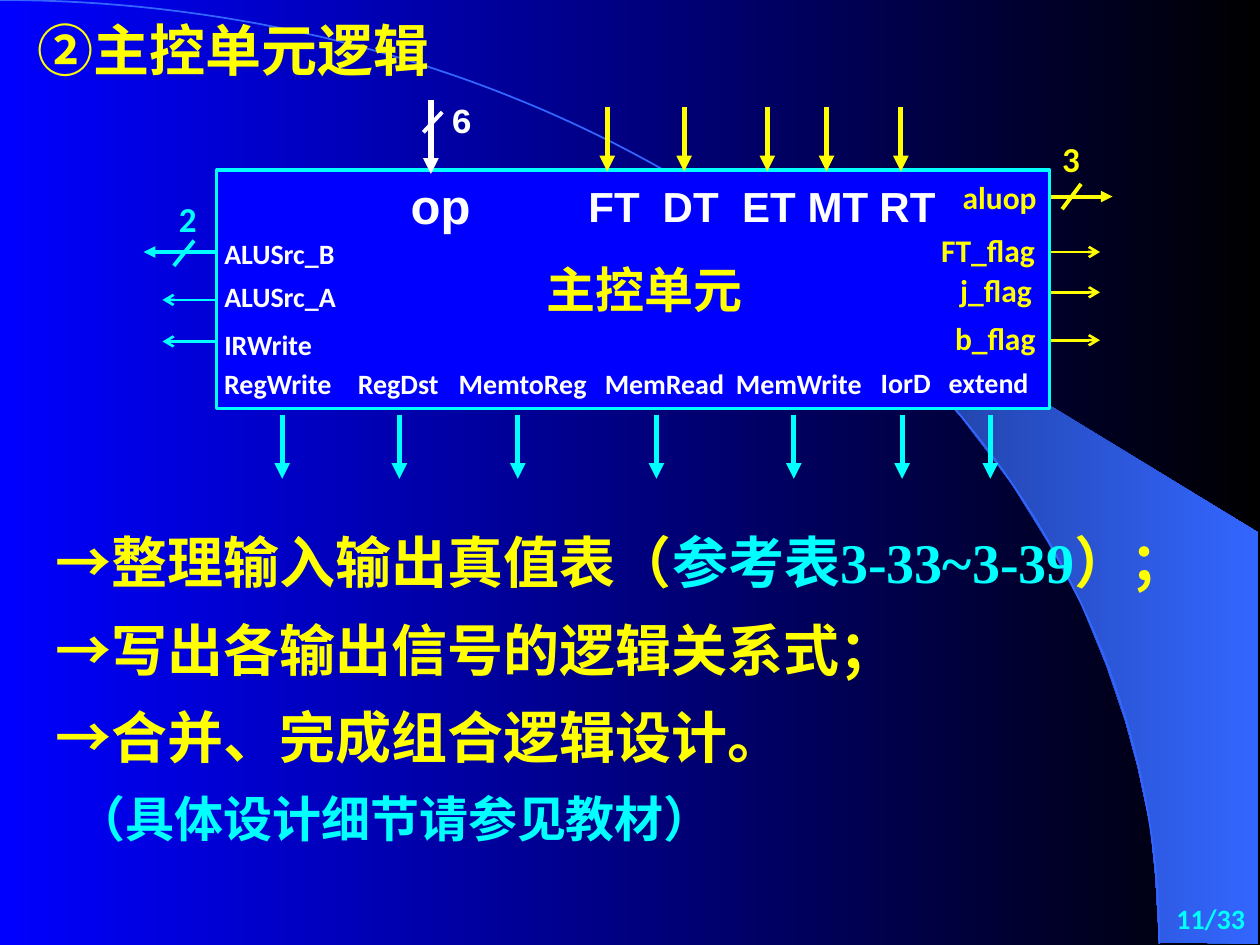
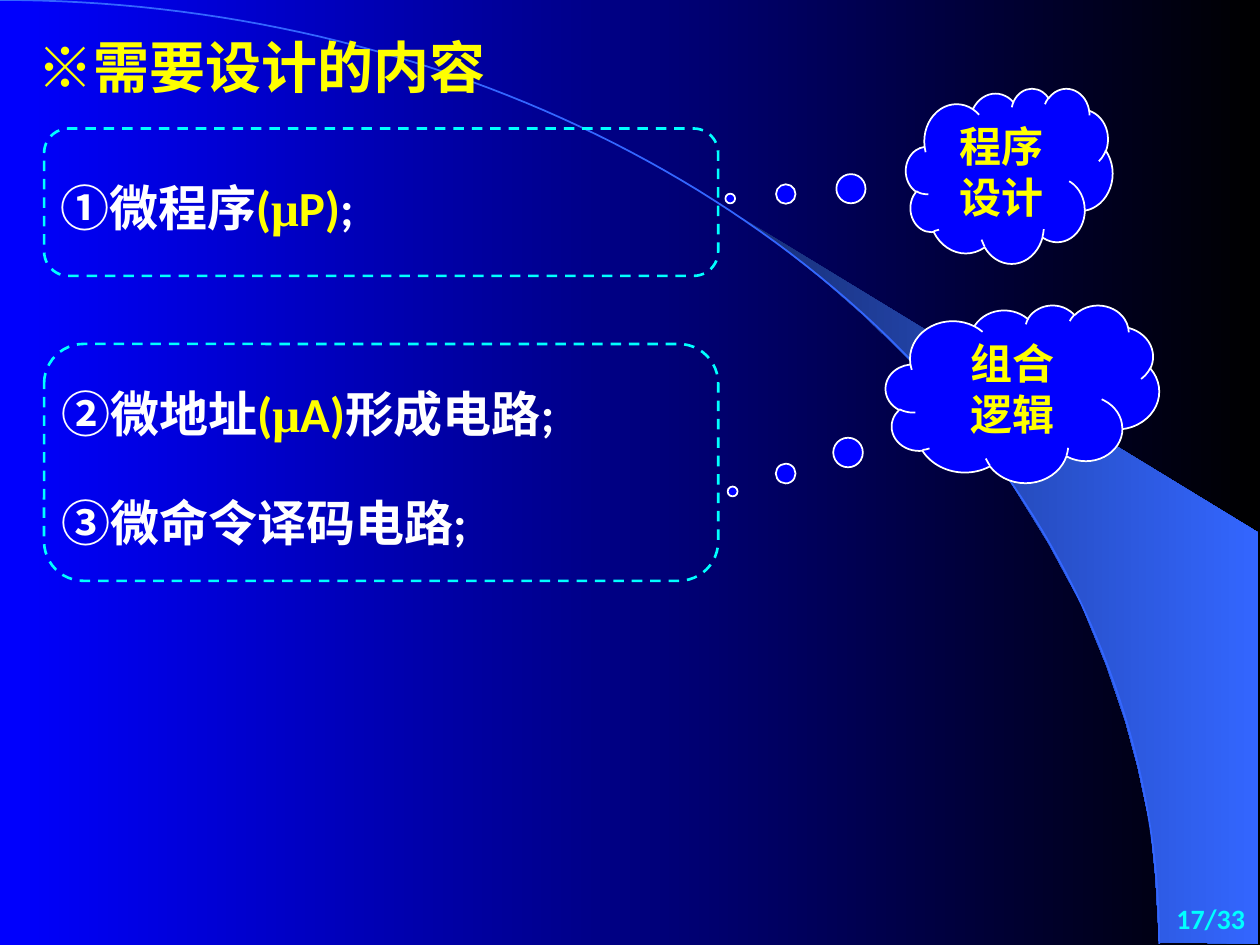
from dataclasses import dataclass
from math import cos, pi, sin

from lxml.etree import SubElement
from pptx import Presentation
from pptx.dml.color import RGBColor
from pptx.enum.dml import MSO_LINE
from pptx.enum.shapes import MSO_CONNECTOR, MSO_SHAPE
from pptx.enum.text import MSO_ANCHOR, MSO_AUTO_SIZE, PP_ALIGN
from pptx.oxml.ns import qn
from pptx.util import Inches, Pt


@dataclass(frozen=True)
class Theme:
    blue: str = "0000FF"
    black: str = "000000"
    navy: str = "182F76"
    sky: str = "3366FF"
    cyan: str = "00FFFF"
    yellow: str = "FFFF00"
    white: str = "FFFFFF"
    latin: str = "Calibri"
    chinese: str = "Noto Sans CJK SC"
    serif: str = "Times New Roman"
    sans: str = "Arial"
    mono: str = "Courier New"
    title: int = 32
    body: int = 28
    cloud: int = 24
    bus: int = 20
    flag: int = 18
    small: int = 16


THEME = Theme()
PAGE_COUNT = 33


def rgb(color):
    return RGBColor.from_string(color)


def inches(*lengths):
    return [Inches(length) for length in lengths]


def set_gradient(fill, first, last):
    fill.gradient()
    fill.gradient_angle = 0
    for stop, color, position in zip(fill.gradient_stops, (first, last), (0, 1)):
        stop.color.rgb = rgb(color)
        stop.position = position


def write(frame, lines, size, inset=(0, 0), wrap=False, align=PP_ALIGN.LEFT,
          anchor=MSO_ANCHOR.TOP, spacing=None):
    """Fill a frame with lines, each a list of (text, font, color) spans."""
    frame.auto_size = MSO_AUTO_SIZE.NONE
    frame.word_wrap = wrap
    frame.vertical_anchor = anchor
    frame.margin_left = frame.margin_right = Inches(inset[0])
    frame.margin_top = frame.margin_bottom = Inches(inset[1])
    for index, line in enumerate(lines):
        para = frame.add_paragraph() if index else frame.paragraphs[0]
        para.alignment = align
        para.line_spacing = spacing
        for text, font, color in line:
            span = para.add_run()
            span.text = text
            span.font.size = Pt(size)
            span.font.bold = True
            span.font.color.rgb = rgb(color)
            span.font.name = font
            SubElement(span.font._element, qn("a:ea"), typeface=THEME.chinese)


def add_text(slide, box, lines, size, **layout):
    write(slide.shapes.add_textbox(*inches(*box)).text_frame, lines, size, **layout)


def add_label(slide, box, text, size, color, font=THEME.latin):
    add_text(slide, box, [[(text, font, color)]], size)


def add_line(slide, start, end, color, width, arrow=None):
    line = slide.shapes.add_connector(MSO_CONNECTOR.STRAIGHT, *inches(*start, *end))
    line.line.color.rgb = rgb(color)
    line.line.width = Pt(width)
    properties = line.element.spPr
    if arrow:
        SubElement(properties.find(qn("a:ln")), qn("a:tailEnd"), type=arrow)
    SubElement(properties, qn("a:effectLst"))


def add_outlined(slide, kind, box, line_color, width, fill=None):
    shape = slide.shapes.add_shape(kind, *inches(*box))
    shape.shadow.inherit = False
    shape.line.color.rgb = rgb(line_color)
    shape.line.width = Pt(width)
    if fill:
        shape.fill.solid()
        shape.fill.fore_color.rgb = rgb(fill)
    else:
        shape.fill.background()
    return shape


def add_freeform(slide, points, close):
    points = [inches(*point) for point in points]
    builder = slide.shapes.build_freeform(*points[0])
    builder.add_line_segments(points[1:], close=close)
    shape = builder.convert_to_shape()
    shape.shadow.inherit = False
    return shape


def add_backdrop(slide):
    """Draw the light beam and the large quarter-ellipse edge."""
    beam = add_freeform(slide, [
        (9.2, 7.48), (9.99, 7.49), (9.99, 4.23), (5.89, 1.73), (6.24, 1.99),
        (6.53, 2.22), (6.85, 2.5), (7.16, 2.8), (7.62, 3.3), (8.03, 3.84),
        (8.32, 4.31), (8.58, 4.79), (8.78, 5.28), (8.93, 5.72), (9.03, 6.09),
        (9.13, 6.56), (9.17, 6.96)], close=True)
    set_gradient(beam.fill, THEME.navy, THEME.sky)
    beam.line.fill.background()
    width, height, steps = 9.2, 7.49, 90
    angles = [step * pi / 2 / steps for step in range(steps + 1)]
    edge = add_freeform(slide, [(width * sin(angle), height * (1 - cos(angle)))
                                for angle in angles], close=False)
    edge.fill.background()
    edge.line.color.rgb = rgb(THEME.sky)
    edge.line.width = Pt(1)


def add_page(deck, title_box, title_spans, number):
    slide = deck.slides.add_slide(deck.slide_layouts[5])
    add_backdrop(slide)
    title = slide.shapes.title
    title.left, title.top, title.width, title.height = inches(*title_box)
    write(title.text_frame, [[(text, font, THEME.yellow) for text, font in title_spans]],
          THEME.title, inset=(0.1, 0.05), wrap=True)
    title.element.getparent().append(title.element)  # in front of the backdrop
    add_text(slide, (7.9, 7.09, 2.08, 0.39),
             [[(f"{number}/{PAGE_COUNT}", THEME.latin, THEME.cyan)]], THEME.small,
             inset=(0.1, 0.05), wrap=True, align=PP_ALIGN.RIGHT, anchor=MSO_ANCHOR.MIDDLE)
    return slide


def add_control_unit(slide, box):
    left, top, width, height = box
    add_outlined(slide, MSO_SHAPE.RECTANGLE, box, THEME.cyan, 1.87, THEME.blue)
    add_label(slide, (left + 2.62, top + 0.71, 1.55, 0.47), "主控单元",
              THEME.body, THEME.yellow, THEME.chinese)
    add_inputs(slide, left, top)
    add_left_outputs(slide, left, top)
    add_right_outputs(slide, left + width, top)
    add_bottom_outputs(slide, left, top + height)


def add_inputs(slide, left, top):
    add_label(slide, (left + 1.54, top + 0.04, 0.48, 0.47), "op",
              THEME.body, THEME.white, THEME.sans)
    add_label(slide, (left + 1.86, top - 0.57, 0.17, 0.33), "6",
              THEME.bus, THEME.white, THEME.mono)
    add_line(slide, (left + 1.7, top - 0.56), (left + 1.7, top + 0.03),
             THEME.white, 3, "triangle")
    add_line(slide, (left + 1.79, top - 0.46), (left + 1.64, top - 0.3),
             THEME.white, 2.25)
    for name, label_x, label_width, arrow_x in (
            ("FT", 2.95, 0.4, 3.1), ("DT", 3.54, 0.44, 3.71), ("ET", 4.17, 0.43, 4.37),
            ("MT", 4.69, 0.48, 4.84), ("RT", 5.26, 0.44, 5.43)):
        add_label(slide, (left + label_x, top + 0.08, label_width, 0.4), name,
                  THEME.cloud, THEME.white, THEME.sans)
        add_line(slide, (left + arrow_x, top - 0.5), (left + arrow_x, top + 0.01),
                 THEME.yellow, 3, "triangle")


def add_left_outputs(slide, left, top):
    for name, label_y, label_width, arrow_y, length, weight, arrow in (
            ("ALUSrc_B", 0.53, 0.88, 0.65, 0.58, 2.25, "triangle"),
            ("ALUSrc_A", 0.87, 0.89, 1.03, 0.43, 1.5, "arrow"),
            ("IRWrite", 1.25, 0.71, 1.36, 0.43, 1.5, "arrow")):
        add_label(slide, (left + 0.06, top + label_y, label_width, 0.27), name,
                  THEME.small, THEME.white)
        add_line(slide, (left, top + arrow_y), (left - length, top + arrow_y),
                 THEME.cyan, weight, arrow)
    add_label(slide, (left - 0.3, top + 0.22, 0.14, 0.33), "2", THEME.bus, THEME.cyan)
    add_line(slide, (left - 0.18, top + 0.56), (left - 0.34, top + 0.76),
             THEME.cyan, 2.25)


def add_right_outputs(slide, right, top):
    for name, label_x, label_y, label_width, arrow_y, length, weight, arrow in (
            ("aluop", 0.69, 0.06, 0.59, 0.21, 0.5, 2.25, "triangle"),
            ("FT_flag", 0.86, 0.48, 0.74, 0.65, 0.4, 1.5, "arrow"),
            ("j_flag", 0.71, 0.8, 0.57, 0.97, 0.4, 1.5, "arrow"),
            ("b_flag", 0.75, 1.18, 0.64, 1.35, 0.4, 1.5, "arrow")):
        add_label(slide, (right - label_x, top + label_y, label_width, 0.3), name,
                  THEME.flag, THEME.yellow)
        add_line(slide, (right + 0.01, top + arrow_y), (right + length, top + arrow_y),
                 THEME.yellow, weight, arrow)
    add_label(slide, (right + 0.1, top - 0.26, 0.14, 0.33), "3", THEME.bus, THEME.yellow)
    add_line(slide, (right + 0.25, top + 0.11), (right + 0.1, top + 0.31),
             THEME.yellow, 2.25)


def add_bottom_outputs(slide, left, bottom):
    for name, label_x, label_width, rise, arrow_x in (
            ("RegWrite", 0.06, 0.86, 0.33, 0.52), ("RegDst", 1.12, 0.65, 0.33, 1.45),
            ("MemtoReg", 1.92, 1.02, 0.33, 2.39), ("MemRead", 3.08, 0.95, 0.33, 3.49),
            ("MemWrite", 4.12, 1.01, 0.33, 4.58), ("IorD", 5.27, 0.4, 0.34, 5.44),
            ("extend", 5.81, 0.64, 0.34, 6.14)):
        add_label(slide, (left + label_x, bottom - rise, label_width, 0.27), name,
                  THEME.small, THEME.white)
        add_line(slide, (left + arrow_x, bottom + 0.05), (left + arrow_x, bottom + 0.56),
                 THEME.cyan, 3, "triangle")


def add_design_steps(slide, box):
    left, top, width, height = box
    main = (THEME.chinese, THEME.yellow)
    add_text(slide, box, [
        [("→整理输入输出真值表（", *main),
         ("参考表3-33~3-39", THEME.serif, THEME.cyan), ("）；", *main)],
        [("→写出各输出信号的逻辑关系式；", *main)],
        [("→合并、完成组合逻辑设计。", *main)],
    ], THEME.title, inset=(0.1, 0.05), spacing=1.3)
    add_text(slide, (left + 0.17, top + height + 0.05, 5.25, 0.57),
             [[("（具体设计细节请参见教材）", THEME.chinese, THEME.cyan)]],
             THEME.body, inset=(0.1, 0.05))


def add_topic_group(slide, box, items):
    """Draw a dashed frame with items of (x, y, width, spans) inside it."""
    left, top = box[:2]
    frame = add_outlined(slide, MSO_SHAPE.ROUNDED_RECTANGLE, box, THEME.cyan, 1.5)
    frame.line.dash_style = MSO_LINE.DASH
    for x, y, width, spans in items:
        add_text(slide, (left + x, top + y, width, 0.6), [spans], THEME.body,
                 inset=(0.1, 0.05), wrap=True, spacing=Pt(36))


def add_cloud(slide, box, tail, lines):
    cloud = add_outlined(slide, MSO_SHAPE.CLOUD_CALLOUT, box, THEME.white, 1, THEME.blue)
    cloud.adjustments[0], cloud.adjustments[1] = tail
    write(cloud.text_frame, [[(line, THEME.chinese, THEME.yellow)] for line in lines],
          THEME.cloud, inset=(0.1, 0.05), align=PP_ALIGN.CENTER)


def symbol(letter):
    """Spans of a bracketed short form such as (μP)."""
    return [("(", THEME.latin, THEME.yellow), ("μ", THEME.serif, THEME.yellow),
            (f"{letter})", THEME.latin, THEME.yellow)]


def build_control_slide(deck):
    slide = add_page(deck, (0.2, 0.07, 5.51, 0.64),
                     [("②", THEME.latin), ("主控单元逻辑", THEME.chinese)], 11)
    add_control_unit(slide, (1.72, 1.35, 6.61, 1.89))
    add_design_steps(slide, (0.34, 3.98, 9.39, 2.18))


def build_contents_slide(deck):
    slide = add_page(deck, (0.2, 0.21, 4.8, 0.64),
                     [("※需要设计的内容", THEME.chinese)], 17)
    chinese, latin = (THEME.chinese, THEME.white), (THEME.latin, THEME.white)
    add_topic_group(slide, (0.35, 1.02, 5.35, 1.17), [
        (0.03, 0.31, 2.97, [("①微程序", *chinese), *symbol("P"), (";", *latin)])])
    add_topic_group(slide, (0.35, 2.73, 5.35, 1.88), [
        (0.04, 0.23, 4.77, [("②微地址", *chinese), *symbol("A"), ("形成电路;", *latin)]),
        (0.04, 1.1, 3.59, [("③微命令译码电路", *chinese), (";", *latin)])])
    add_cloud(slide, (7.03, 2.42, 2.17, 1.41), (-1.06, 0.55), ("组合", "逻辑"))
    add_cloud(slide, (7.19, 0.7, 1.64, 1.39), (-1.35, 0.13), ("程序", "设计"))


def main():
    deck = Presentation()
    deck.slide_width, deck.slide_height = inches(10, 7.5)
    set_gradient(deck.slide_master.background.fill, THEME.blue, THEME.black)
    build_control_slide(deck)
    build_contents_slide(deck)
    deck.save("out.pptx")


if __name__ == "__main__":
    main()
